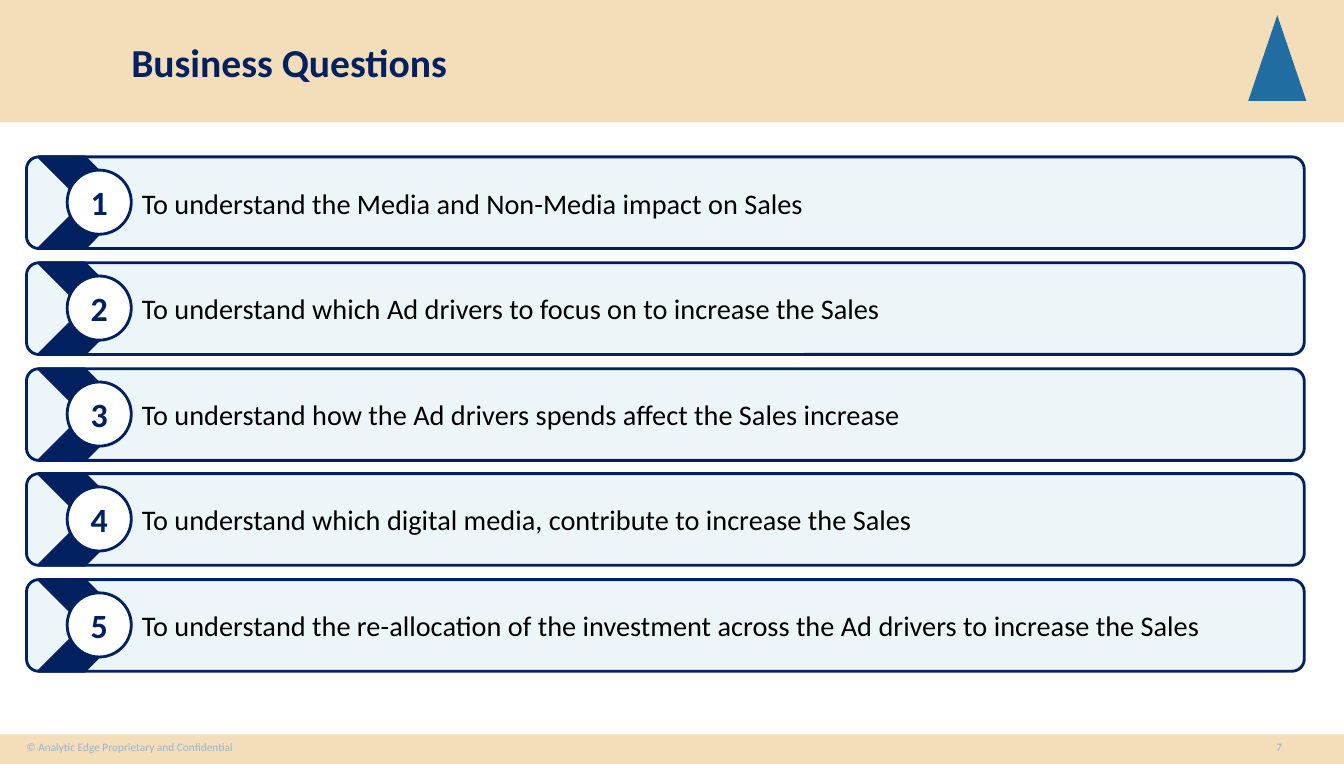
from pptx import Presentation
from pptx.dml.color import RGBColor
from pptx.enum.shapes import MSO_SHAPE
from pptx.enum.text import MSO_ANCHOR, MSO_AUTO_SIZE, PP_ALIGN
from pptx.oxml.ns import qn
from pptx.util import Pt
from lxml.etree import SubElement

PX = 9144
THEME = {
    "sand": RGBColor.from_string("F4DEB9"),
    "navy": RGBColor.from_string("002060"),
    "ice": RGBColor.from_string("DBEEF4"),
    "white": RGBColor.from_string("FFFFFF"),
    "black": RGBColor.from_string("000000"),
    "mist": RGBColor.from_string("95B3D7"),
    "blue": RGBColor.from_string("216CA0"),
    "title": {"name": "Calibri", "size": Pt(28), "bold": True},
    "goal": {"name": "Calibri", "size": Pt(20), "bold": False},
    "badge": {"name": "Calibri", "size": Pt(24), "bold": True},
    "foot": {"name": "Calibri", "size": Pt(8), "bold": False},
}

deck = Presentation()
deck.slide_width, deck.slide_height = 1320 * PX, 750 * PX
slide = deck.slides.add_slide(deck.slide_layouts[5])


def draw(kind, box, fill, line=None):
    shape = slide.shapes.add_shape(kind, *[n * PX for n in box])
    shape.shadow.inherit = False
    shape.fill.solid()
    shape.fill.fore_color.rgb = THEME[fill]
    if line:
        shape.line.color.rgb = THEME[line]
        shape.line.width = Pt(2)
    else:
        shape.line.fill.background()
    return shape


def write(shape, text, style, color, align=PP_ALIGN.LEFT, anchor=MSO_ANCHOR.MIDDLE):
    frame = shape.text_frame
    frame.text = text
    layout = {"word_wrap": True, "auto_size": MSO_AUTO_SIZE.NONE, "vertical_anchor": anchor}
    for key, value in layout.items():
        setattr(frame, key, value)
    para = frame.paragraphs[0]
    para.alignment = align
    font = para.runs[0].font
    for key, value in THEME[style].items():
        setattr(font, key, value)
    font.color.rgb = THEME[color]
    return para


draw(MSO_SHAPE.RECTANGLE, (0, 0, 1320, 120), "sand")
draw(MSO_SHAPE.RECTANGLE, (0, 721, 1320, 29), "sand")
draw(MSO_SHAPE.ISOSCELES_TRIANGLE, (1226, 15, 57, 84), "blue")

title = slide.shapes.title
spot = {"left": 119, "top": 18, "width": 1085, "height": 86}
for key, value in spot.items():
    setattr(title, key, value * PX)
write(title, "Business Questions", "title", "navy")
tree = slide.shapes._spTree
tree.remove(title._element)
tree.append(title._element)

notes = [
    ("© Analytic Edge Proprietary and Confidential", (16, 722, 277, 40), PP_ALIGN.LEFT),
    ("7", (1225, 722, 63, 40), PP_ALIGN.CENTER),
]
for text, box, align in notes:
    note = slide.shapes.add_textbox(*[n * PX for n in box])
    write(note, text, "foot", "mist", align, MSO_ANCHOR.TOP)

goals = [
    "To understand the Media and Non-Media impact on Sales",
    "To understand which Ad drivers to focus on to increase the Sales",
    "To understand how the Ad drivers spends affect the Sales increase",
    "To understand which digital media, contribute to increase the Sales",
    "To understand the re-allocation of the investment across the Ad drivers to increase the Sales",
]
FIRST, LAST, HIGH = 154, 569, 90
for row, goal in enumerate(goals):
    top = FIRST + round((LAST - FIRST) * row / (len(goals) - 1))

    bar = draw(MSO_SHAPE.ROUNDED_RECTANGLE, (26, top, 1255, HIGH), "ice", "navy")
    bar.adjustments[0] = 0.134
    tint = bar._element.spPr.find(qn("a:solidFill")).find(qn("a:srgbClr"))
    SubElement(tint, qn("a:alpha"), val="50000")
    para = write(bar, goal, "goal", "black")
    para._p.get_or_add_pPr().set("marL", str(100 * PX))

    draw(MSO_SHAPE.CHEVRON, (38, top, HIGH, HIGH), "navy", "navy")
    badge = draw(MSO_SHAPE.OVAL, (66, top + 13, 63, 63), "white", "navy")
    write(badge, str(row + 1), "badge", "navy", PP_ALIGN.CENTER)

deck.save("out.pptx")
